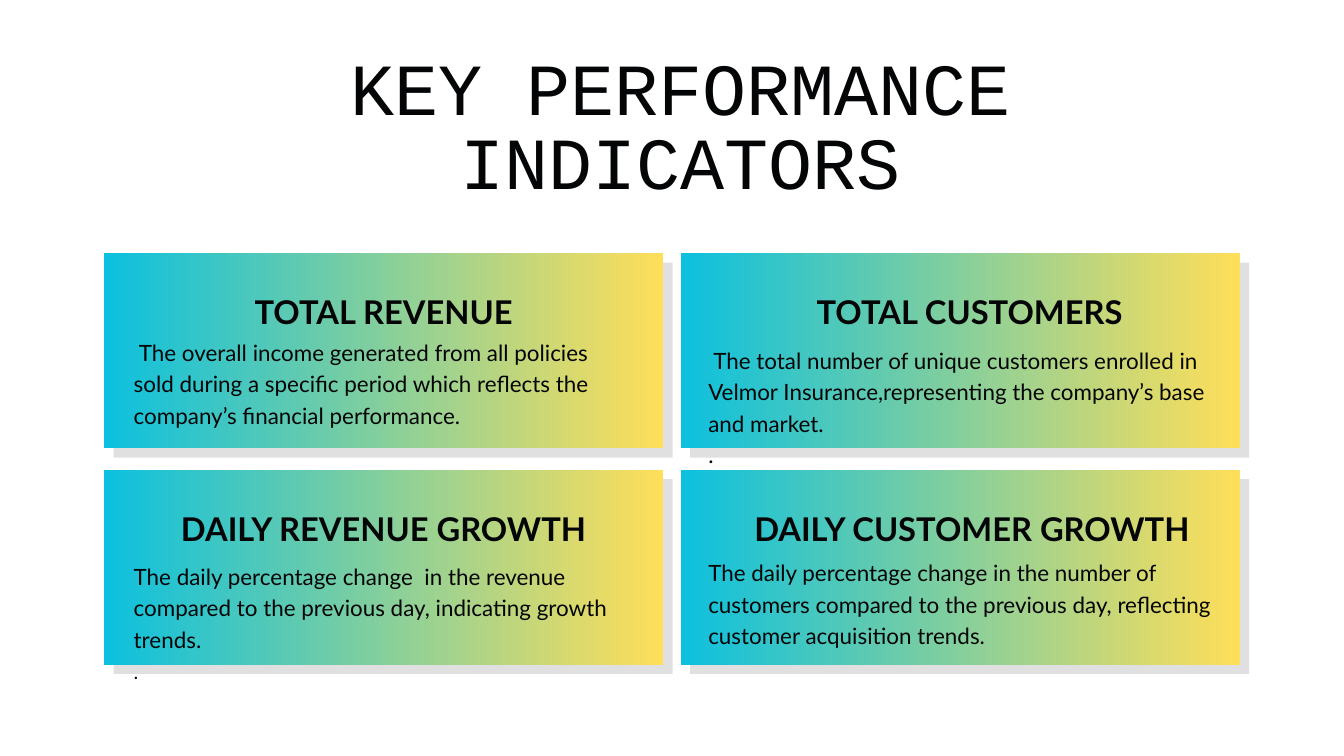
import dataclasses

import lxml.etree
import pptx
import pptx.dml.color
import pptx.enum.shapes
import pptx.enum.text
import pptx.oxml.ns
import pptx.util

INK = pptx.dml.color.RGBColor(0x04, 0x05, 0x06)
SHADOW = pptx.dml.color.RGBColor(0x00, 0x00, 0x00)
CYAN = pptx.dml.color.RGBColor(0x0C, 0xC0, 0xDF)
YELLOW = pptx.dml.color.RGBColor(0xFF, 0xDE, 0x59)

# The slide is a grid of square cells, one inch each.
COLUMNS, ROWS = 20, 11.25
CARD_WIDTH, CARD_HEIGHT = 8.32, 2.9
CARD_LEFT, CARD_TOP = 1.55, 3.77
CARD_STEP_X, CARD_STEP_Y = 8.58, 3.22
SHADOW_OFFSET = 0.14

LEFT = pptx.enum.text.PP_ALIGN.LEFT
CENTER = pptx.enum.text.PP_ALIGN.CENTER


@dataclasses.dataclass
class Indicator:
    column: int
    row: int
    heading: str
    description: str
    description_top: float
    heading_left: float = 0.76
    heading_width: float = 6.8
    closing_font: str = ""  # font of a full stop on its own line, if any

    @property
    def corner(self):
        return (CARD_LEFT + self.column * CARD_STEP_X,
                CARD_TOP + self.row * CARD_STEP_Y)


INDICATORS = [
    Indicator(0, 0, "TOTAL REVENUE",
              " The overall income generated from all policies sold during a "
              "specific period which reflects the company’s financial performance.",
              1.21),
    Indicator(0, 1, "DAILY REVENUE GROWTH",
              "The daily percentage change  in the revenue compared to the "
              "previous day, indicating growth trends.",
              1.32, closing_font="Montserrat"),
    Indicator(1, 0, "TOTAL CUSTOMERS",
              " The total number of unique customers enrolled in Velmor "
              "Insurance,representing the company’s base and market.",
              1.33, heading_left=0.9, closing_font="Lato"),
    Indicator(1, 1, "DAILY CUSTOMER GROWTH",
              "The daily percentage change in the number of customers compared "
              "to the previous day, reflecting customer acquisition trends.",
              1.27, heading_width=7.15),
]


class SlideBuilder:
    def __init__(self, presentation):
        self.cell_width = presentation.slide_width / COLUMNS
        self.cell_height = presentation.slide_height / ROWS
        self.slide = presentation.slides.add_slide(presentation.slide_layouts[5])

    def area(self, left, top, width, height):
        """Turn grid cells into slide lengths."""
        return [round(cells * size) for cells, size in
                zip((left, top, width, height),
                    (self.cell_width, self.cell_height) * 2)]

    def prepare(self, frame):
        frame.word_wrap = True
        frame.auto_size = pptx.enum.text.MSO_AUTO_SIZE.NONE
        frame.vertical_anchor = pptx.enum.text.MSO_ANCHOR.TOP
        frame.margin_left = frame.margin_right = 0
        frame.margin_top = frame.margin_bottom = 0

    def add_text(self, paragraph, text, size, spacing, font="Lato",
                 align=LEFT, bold=False):
        paragraph.alignment = align
        paragraph.line_spacing = pptx.util.Pt(spacing)
        run = paragraph.add_run()
        run.text = text
        run.font.name = font
        run.font.size = pptx.util.Pt(size)
        run.font.bold = bold
        run.font.color.rgb = INK

    def title(self, text, *cells):
        title = self.slide.shapes.title
        title.left, title.top, title.width, title.height = self.area(*cells)
        self.prepare(title.text_frame)
        self.add_text(title.text_frame.paragraphs[0], text, 78.7, 78.7,
                      "Courier New", CENTER)

    def panel(self, left, top):
        panel = self.slide.shapes.add_shape(
            pptx.enum.shapes.MSO_SHAPE.RECTANGLE,
            *self.area(left, top, CARD_WIDTH, CARD_HEIGHT))
        panel.shadow.inherit = False
        panel.line.fill.background()
        return panel

    def card_shadow(self, left, top):
        panel = self.panel(left + SHADOW_OFFSET, top + SHADOW_OFFSET)
        panel.fill.solid()
        panel.fill.fore_color.rgb = SHADOW
        color = panel.element.spPr.find(".//" + pptx.oxml.ns.qn("a:srgbClr"))
        lxml.etree.SubElement(color, pptx.oxml.ns.qn("a:alpha"), val="12000")

    def card(self, left, top):
        fill = self.panel(left, top).fill
        fill.gradient()
        fill.gradient_angle = 0
        for stop, color, position in zip(fill.gradient_stops, (CYAN, YELLOW), (0, 1)):
            stop.color.rgb = color
            stop.position = position

    def text_box(self, *cells):
        frame = self.slide.shapes.add_textbox(*self.area(*cells)).text_frame
        self.prepare(frame)
        return frame

    def indicator_text(self, indicator):
        left, top = indicator.corner
        heading = self.text_box(left + indicator.heading_left, top + 0.48,
                                indicator.heading_width, 0.65)
        self.add_text(heading.paragraphs[0], indicator.heading, 35, 49,
                      align=CENTER, bold=True)

        inset = 0.41 if indicator.column else 0.44
        description = self.text_box(left + inset, top + indicator.description_top,
                                    CARD_WIDTH - 2 * inset, 1.82)
        self.add_text(description.paragraphs[0], indicator.description, 24, 33.6)
        if indicator.closing_font:
            self.add_text(description.add_paragraph(), ".", 24, 33.6,
                          indicator.closing_font)


def main():
    presentation = pptx.Presentation()
    presentation.slide_width = pptx.util.Inches(20)
    presentation.slide_height = pptx.util.Inches(11.25)
    builder = SlideBuilder(presentation)

    builder.title("KEY PERFORMANCE INDICATORS", 3.11, 0.85, 14.04, 2.34)
    for draw in (builder.card_shadow, builder.card):
        for indicator in INDICATORS:
            draw(*indicator.corner)
    for indicator in INDICATORS:
        builder.indicator_text(indicator)

    presentation.save("out.pptx")


if __name__ == "__main__":
    main()
